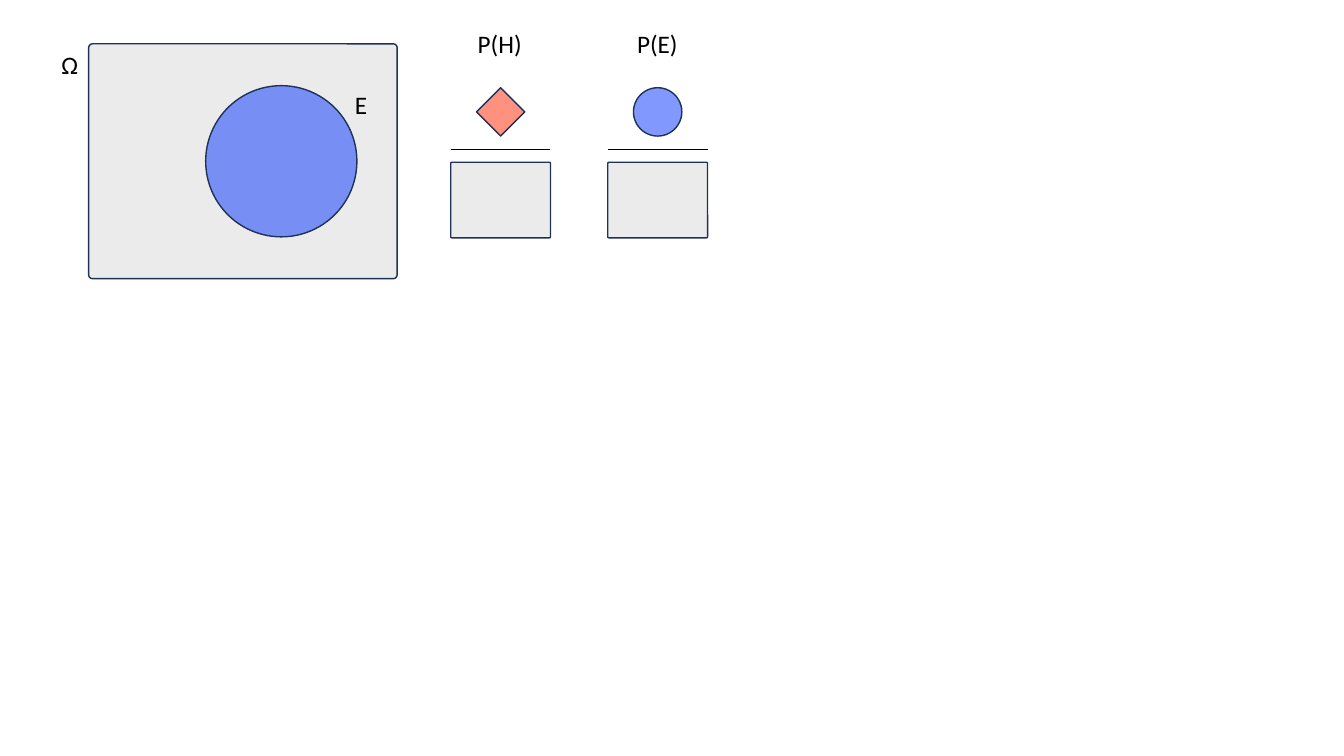
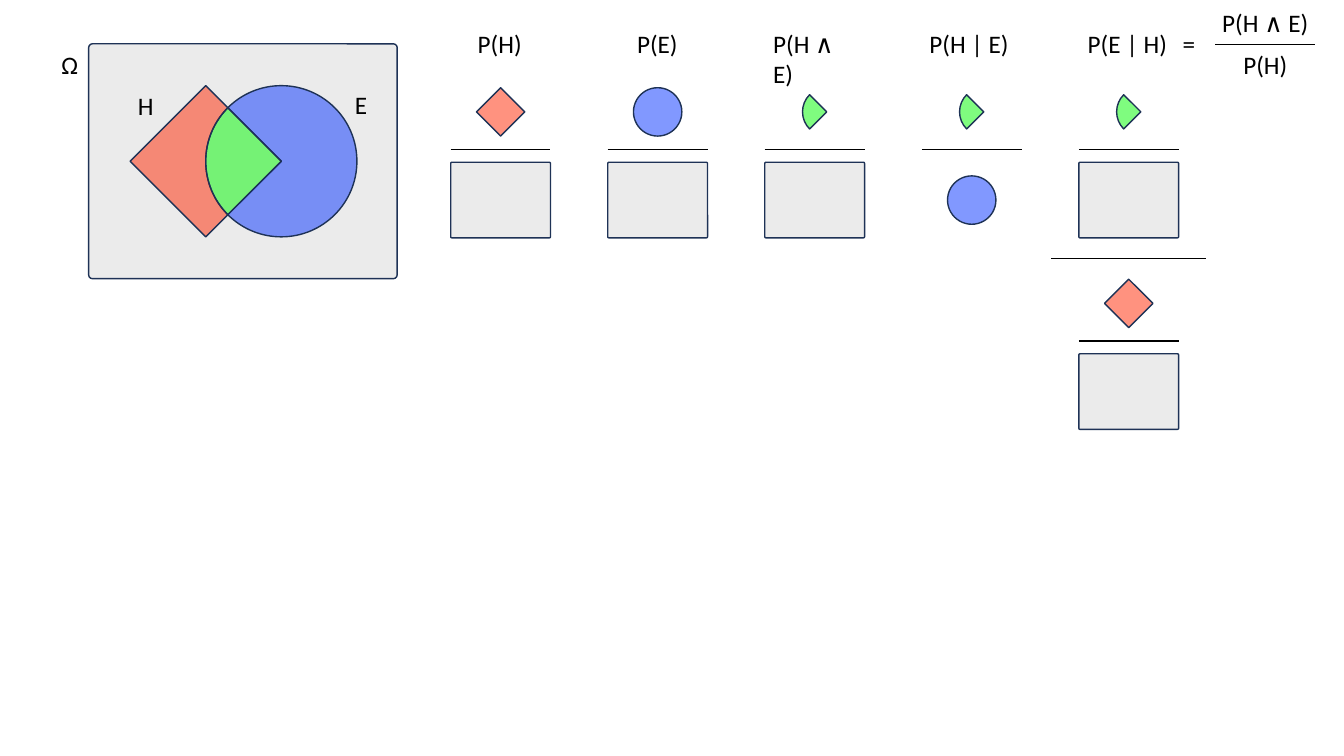
from math import cos, radians, sin, tan
from lxml.etree import SubElement
from pptx import Presentation
from pptx.dml.color import RGBColor
from pptx.enum.shapes import MSO_CONNECTOR, MSO_SHAPE
from pptx.enum.text import MSO_AUTO_SIZE, PP_ALIGN
from pptx.oxml.ns import qn
from pptx.util import Inches, Pt

RED = RGBColor(0xFF, 0x26, 0x00)
BLUE = RGBColor(0x04, 0x32, 0xFF)
GREEN = RGBColor(0x00, 0xFA, 0x00)
GREY = RGBColor(0xD9, 0xD9, 0xD9)
NAVY = RGBColor(0x1E, 0x32, 0x56)
BLACK = RGBColor(0x00, 0x00, 0x00)

# Grid of fractions: one centre per column, shared rows
BAR_WIDTH, BOX_HEIGHT, SYMBOL = 0.99, 0.75, 0.48
FIRST_LEFT, LAST_LEFT = 4.47, 10.7
COLUMNS = [FIRST_LEFT + BAR_WIDTH / 2 + (LAST_LEFT - FIRST_LEFT) * column / 4
           for column in range(5)]
HEADING_TOP = 0.23
NUMERATOR = 1.11
BAR = NUMERATOR + BOX_HEIGHT / 2
DENOMINATOR = BAR + 0.5
LOWER = 1.9  # drop from the upper to the lower fraction
LABEL_HEIGHT = 0.4

# Venn diagram: the diamond's right tip is the circle's centre
RADIUS = 0.75
CIRCLE_X, MIDDLE = 2.79, 1.6
DIAMOND_X = CIRCLE_X - RADIUS


def arc(x, y, radius, angles):
    """A line to the first angle, then one Bézier curve to each next angle."""
    spots = [(cos(radians(angle)), sin(radians(angle))) for angle in angles]
    segments = [[(x + radius * spots[0][0], y + radius * spots[0][1])]]
    for index in range(1, len(angles)):
        (c1, s1), (c2, s2) = spots[index - 1:index + 1]
        pull = 4 / 3 * tan(radians(angles[index] - angles[index - 1]) / 4)
        curve = [(c1 - pull * s1, s1 + pull * c1), (c2 + pull * s2, s2 - pull * c2), (c2, s2)]
        segments.append([(x + radius * across, y + radius * down) for across, down in curve])
    return segments


def paint(shape, colour):
    """Half-transparent fill with a thin navy outline."""
    shape.shadow.inherit = False
    shape.fill.solid()
    shape.fill.fore_color.rgb = colour
    colour_element = shape.fill._xPr.find(qn("a:solidFill"))[0]
    SubElement(colour_element, qn("a:alpha"), val="50000")
    shape.line.color.rgb = NAVY
    shape.line.width = Pt(1)


# Symbols: kind, colour, width, height
DIAMOND = (MSO_SHAPE.DIAMOND, RED, SYMBOL, SYMBOL)
CIRCLE = (MSO_SHAPE.OVAL, BLUE, SYMBOL, SYMBOL)
WORLD = (MSO_SHAPE.ROUNDED_RECTANGLE, GREY, BAR_WIDTH, BOX_HEIGHT)
OVERLAP = "overlap"

# Fractions: column, drop, numerator, denominator
PRIOR_FRACTIONS = [(0, 0, DIAMOND, WORLD), (1, 0, CIRCLE, WORLD)]
ALL_FRACTIONS = PRIOR_FRACTIONS + [
    (2, 0, OVERLAP, WORLD), (3, 0, OVERLAP, CIRCLE),
    (4, 0, OVERLAP, WORLD), (4, LOWER, DIAMOND, WORLD)]

# Labels: text, left, top, width, wrap, alignment
LEFT, CENTER = PP_ALIGN.LEFT, PP_ALIGN.CENTER
PRIOR_LABELS = [
    ("Ω", 0.51, 0.44, 0.37, False, LEFT),
    ("E", 3.42, 0.84, 0.32, False, LEFT),
    ("P(H)", 4.64, HEADING_TOP, 0.64, False, LEFT),
    ("P(E)", 6.22, HEADING_TOP, 0.61, False, LEFT)]
ALL_LABELS = PRIOR_LABELS + [
    ("H", 1.27, 0.85, 0.36, False, LEFT),
    ("P(H ∧ E)", 7.57, HEADING_TOP, 1.03, True, LEFT),
    ("P(H | E)", 9.12, HEADING_TOP, 1.0, False, LEFT),
    ("P(E | H)\t=", 10.69, HEADING_TOP, 1.3, True, LEFT),
    ("P(H ∧ E)", 12, 0.02, 1.1, True, CENTER),
    ("P(H)", 12, 0.44, 1.1, True, CENTER)]

# Further bars: centre, height on the slide, width
EXTRA_BARS = [(12.55, 0.44, BAR_WIDTH), (COLUMNS[4], BAR + 1.08, 1.54)]

# Overlap and Venn regions: start point, segments, colour
LENS_ANGLES = [135, 180, 225]
CIRCLE_CENTRE = (CIRCLE_X, MIDDLE)
VENN_REGIONS = [
    (CIRCLE_CENTRE, arc(*CIRCLE_CENTRE, RADIUS, LENS_ANGLES), GREEN),
    ((DIAMOND_X, MIDDLE - RADIUS),
     arc(*CIRCLE_CENTRE, RADIUS, LENS_ANGLES[::-1])
     + [[(DIAMOND_X, MIDDLE + RADIUS)], [(DIAMOND_X - RADIUS, MIDDLE)]], RED),
    (CIRCLE_CENTRE, arc(*CIRCLE_CENTRE, RADIUS, [225, 270, 360, 450, 495]), BLUE)]
VENN_WORLD = (MSO_SHAPE.ROUNDED_RECTANGLE, GREY, 3.06, 2.33)
VENN_CIRCLE = (MSO_SHAPE.OVAL, BLUE, 2 * RADIUS, 2 * RADIUS)

presentation = Presentation()
presentation.slide_width = Inches(13.33)
presentation.slide_height = Inches(7.5)

SLIDES = [
    (PRIOR_FRACTIONS, PRIOR_LABELS, [], [], [(VENN_CIRCLE, *CIRCLE_CENTRE)]),
    (ALL_FRACTIONS, ALL_LABELS, EXTRA_BARS, VENN_REGIONS, [])]

for fractions, labels, extra_bars, venn_regions, venn_symbols in SLIDES:
    slide = presentation.slides.add_slide(presentation.slide_layouts[6])
    symbols = [(VENN_WORLD, 2.41, MIDDLE)] + venn_symbols
    regions = list(venn_regions)
    bars = list(extra_bars)

    # Lay out the fractions
    for column, drop, numerator, denominator in fractions:
        x = COLUMNS[column]
        if numerator == OVERLAP:
            tip = (x + SYMBOL / 4, NUMERATOR + drop)
            regions.append((tip, arc(*tip, SYMBOL / 2, LENS_ANGLES), GREEN))
        else:
            symbols.append((numerator, x, NUMERATOR + drop))
        symbols.append((denominator, x, DENOMINATOR + drop))
        bars.append((x, BAR + drop, BAR_WIDTH))

    # Preset shapes
    for (kind, colour, width, height), x, y in symbols:
        shape = slide.shapes.add_shape(
            kind, Inches(x - width / 2), Inches(y - height / 2),
            Inches(width), Inches(height))
        if kind == MSO_SHAPE.ROUNDED_RECTANGLE:
            shape.adjustments[0] = 0.016
        paint(shape, colour)

    # Regions: lay every point as a line, then join each triple into a curve
    for start, segments, colour in regions:
        builder = slide.shapes.build_freeform(Inches(start[0]), Inches(start[1]))
        builder.add_line_segments(
            [(Inches(x), Inches(y)) for segment in segments for x, y in segment], close=True)
        shape = builder.convert_to_shape()
        lines = iter(list(shape._element.iter(qn("a:lnTo"))))
        for segment in segments:
            first = next(lines)
            if len(segment) == 3:
                first.tag = qn("a:cubicBezTo")
                for line in (next(lines), next(lines)):
                    first.append(line[0])
                    line.getparent().remove(line)
        paint(shape, colour)

    # Fraction bars
    for x, y, width in bars:
        bar = slide.shapes.add_connector(
            MSO_CONNECTOR.STRAIGHT, Inches(x - width / 2), Inches(y),
            Inches(x + width / 2), Inches(y))
        bar.line.color.rgb = BLACK
        bar.line.width = Pt(1)
        SubElement(bar._element.spPr, qn("a:effectLst"))

    # Labels
    for text, left, top, width, wrap, alignment in labels:
        box = slide.shapes.add_textbox(
            Inches(left), Inches(top), Inches(width), Inches(LABEL_HEIGHT))
        text_frame = box.text_frame
        text_frame.word_wrap = wrap
        text_frame.auto_size = MSO_AUTO_SIZE.SHAPE_TO_FIT_TEXT
        text_frame.text = text
        paragraph = text_frame.paragraphs[0]
        paragraph.alignment = alignment
        if "\t" in text:
            tabs = SubElement(paragraph._p.get_or_add_pPr(), qn("a:tabLst"))
            SubElement(tabs, qn("a:tab"), pos=str(Inches(0.94)), algn="l")
        for run in paragraph.runs:
            run.font.name = "Calibri"
            run.font.size = Pt(18)
            run.font.color.rgb = BLACK

presentation.save("out.pptx")
